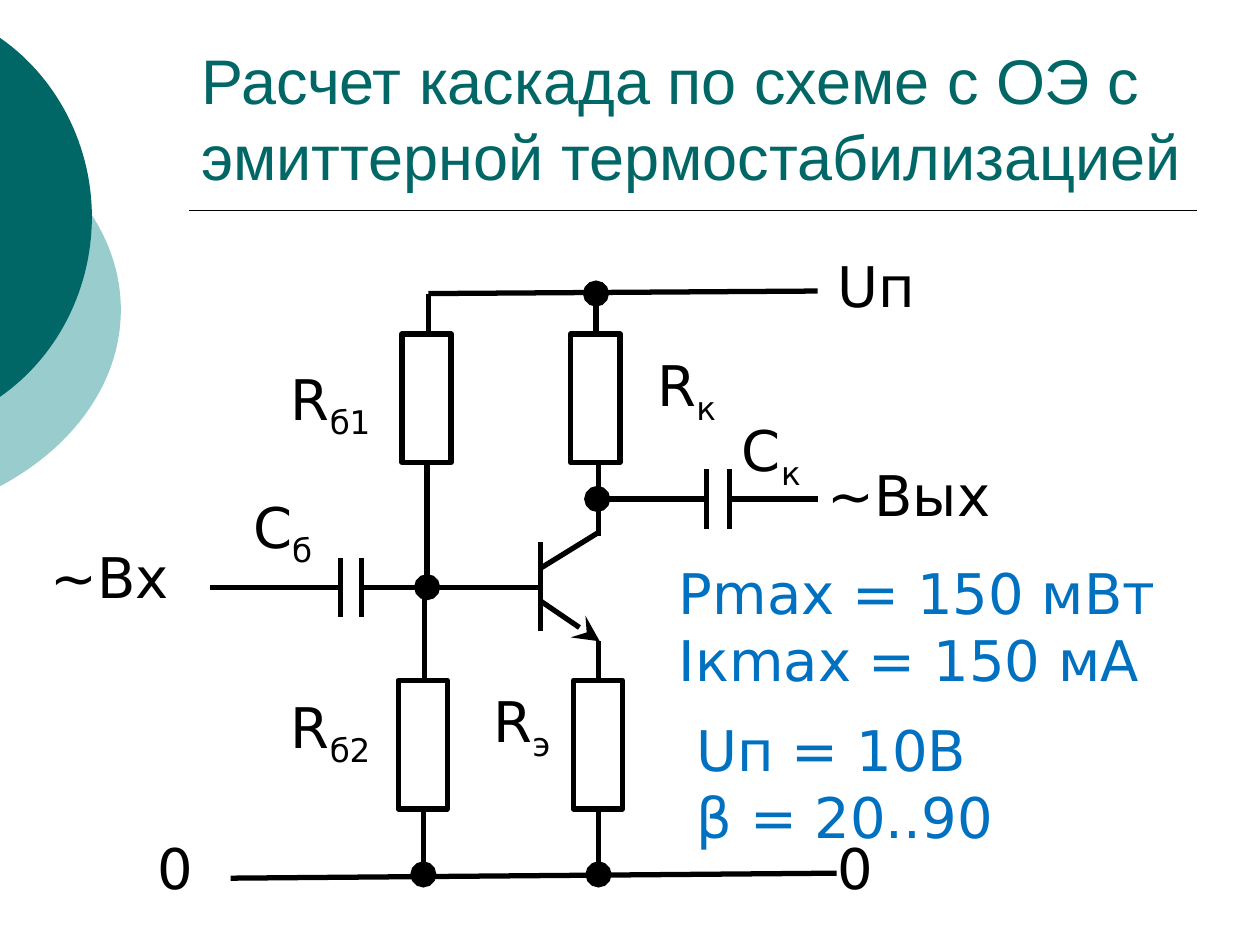
from lxml import etree
from pptx import Presentation
from pptx.dml.color import RGBColor
from pptx.enum.shapes import MSO_CONNECTOR, MSO_SHAPE
from pptx.enum.text import MSO_ANCHOR, MSO_AUTO_SIZE
from pptx.oxml.ns import qn
from pptx.util import Inches, Pt

BLACK, WHITE, TEAL, PALE, BLUE = "000000", "FFFFFF", "006666", "99CCCC", "0070C0"

prs = Presentation()
prs.slide_width, prs.slide_height = Inches(10), Inches(7.5)
slide = prs.slides.add_slide(prs.slide_layouts[6])
shapes = slide.shapes


def add_wire(x1, y1, x2, y2, head=None, weight=3):
    """Draw a straight black line, with an optional end mark at its start."""
    wire = shapes.add_connector(MSO_CONNECTOR.STRAIGHT, Inches(x1), Inches(y1), Inches(x2), Inches(y2))
    wire.line.color.rgb = RGBColor.from_string(BLACK)
    wire.line.width = Pt(weight)
    if head:
        etree.SubElement(wire.line._get_or_add_ln(), qn("a:headEnd"), type=head, w="lg", len="lg")
    etree.SubElement(wire._element.spPr, qn("a:effectLst"))


def add_text(x, y, w, h, lines, color=BLACK, size=32, font="DejaVu Sans"):
    """Add a text box; each line is a (text, subscript) pair."""
    box = shapes.add_textbox(Inches(x), Inches(y), Inches(w), Inches(h))
    frame = box.text_frame
    frame.word_wrap = True
    frame.auto_size = MSO_AUTO_SIZE.NONE
    for i, parts in enumerate(lines):
        paragraph = frame.add_paragraph() if i else frame.paragraphs[0]
        for part, baseline in zip(parts, (None, "-25000")):
            if not part:
                continue
            run = paragraph.add_run()
            run.text = part
            run.font.size, run.font.name = Pt(size), font
            run.font.color.rgb = RGBColor.from_string(color)
            if baseline:
                run.font._element.set("baseline", baseline)
    return frame


# Corner discs: two cubic curves each, cut by the left slide edge
discs = [
    (PALE, [[(0, 1.06), (0.6, 1.38), (0.96, 1.9), (0.96, 2.46)],
            [(0.96, 2.46), (0.96, 3.02), (0.6, 3.54), (0, 3.86)]]),
    (TEAL, [[(0, 0.3), (0.46, 0.62), (0.73, 1.16), (0.73, 1.72)],
            [(0.73, 1.72), (0.73, 2.29), (0.46, 2.83), (0, 3.15)]]),
]
STEPS = 30
for color, curves in discs:
    points = []
    for curve in curves:
        for step in range(STEPS + 1):
            t = step / STEPS
            weights = ((1 - t) ** 3, 3 * t * (1 - t) ** 2, 3 * t * t * (1 - t), t ** 3)
            points.append(tuple(Inches(sum(k * p[axis] for k, p in zip(weights, curve)))
                                for axis in (0, 1)))
    builder = shapes.build_freeform(*points[0])
    builder.add_line_segments(points[1:], close=True)
    disc = builder.convert_to_shape()
    disc.shadow.inherit = False
    disc.fill.solid()
    disc.fill.fore_color.rgb = RGBColor.from_string(color)
    disc.line.fill.background()

# Title
add_wire(1.5, 1.67, 9.5, 1.67, weight=1)
title = add_text(1.5, 0.33, 8, 1.25, [("Расчет каскада по схеме с ОЭ с эмиттерной термостабилизацией", "")],
                 TEAL, 36, "Arial")
title.vertical_anchor = MSO_ANCHOR.BOTTOM

# Resistors
for x, y in [(3.19, 2.65), (4.53, 2.65), (4.55, 5.4), (3.16, 5.4)]:
    resistor = shapes.add_shape(MSO_SHAPE.RECTANGLE, Inches(x), Inches(y), Inches(0.39), Inches(1.02))
    resistor.shadow.inherit = False
    resistor.fill.solid()
    resistor.fill.fore_color.rgb = RGBColor.from_string(WHITE)
    resistor.line.color.rgb = RGBColor.from_string(BLACK)
    resistor.line.width = Pt(3)

# Capacitor plates: (x, centre y, half height)
for x, y, half in [(2.7, 4.66, 0.235), (2.87, 4.66, 0.235), (5.61, 3.96, 0.24), (5.79, 3.96, 0.24)]:
    add_wire(x, y + half, x, y - half)

wires = [
    # transistor
    (4.29, 4.3, 4.29, 5.01), (4.76, 4.22, 4.29, 4.51),
    (4.76, 5.09, 4.29, 4.77, "stealth"), (4.29, 4.66, 3.9, 4.66),
    # base circuit
    (3.39, 4.66, 3.39, 3.67, "oval"), (3.9, 4.66, 2.87, 4.66),
    (2.7, 4.66, 1.67, 4.66), (3.37, 5.4, 3.37, 4.66),
    # collector and emitter circuit
    (4.75, 4.25, 4.75, 3.67), (4.74, 3.96, 5.63, 3.96, "oval"),
    (6.49, 3.96, 5.8, 3.96), (4.75, 5.4, 4.75, 5.09),
    # supply rail
    (3.4, 2.65, 3.4, 2.33), (4.73, 2.33, 4.73, 2.65, "oval"), (6.49, 2.31, 3.4, 2.33),
    # ground rail
    (4.75, 6.94, 4.75, 6.43, "oval"), (3.36, 6.94, 3.36, 6.43, "oval"), (6.64, 6.93, 1.83, 6.97),
]
for wire in wires:
    add_wire(*wire)

labels = [
    (2.21, 2.84, 0.95, "R", "б1"), (2.21, 5.45, 0.95, "R", "б2"),
    (3.82, 5.4, 0.95, "R", "э"), (5.12, 2.73, 0.98, "R", "к"),
    (1.91, 3.86, 0.98, "С", "б"), (5.79, 3.25, 0.98, "С", "к"),
    (0.3, 4.26, 1.37, "~Вх", ""), (6.47, 3.61, 1.68, "~Вых", ""),
    (6.55, 1.95, 1.21, "Uп", ""), (6.55, 6.57, 1.21, "0", ""), (1.15, 6.57, 1.21, "0", ""),
]
for x, y, w, text, subscript in labels:
    add_text(x, y, w, 0.64, [(text, subscript)])

# Given values
add_text(5.43, 5.63, 4.4, 1.18, [("Uп = 10В", ""), ("β = 20..90", "")], BLUE)
add_text(5.29, 4.38, 4.4, 1.18, [("Pmax = 150 мВт", ""), ("Iкmax = 150 мА", "")], BLUE)

prs.save("out.pptx")
